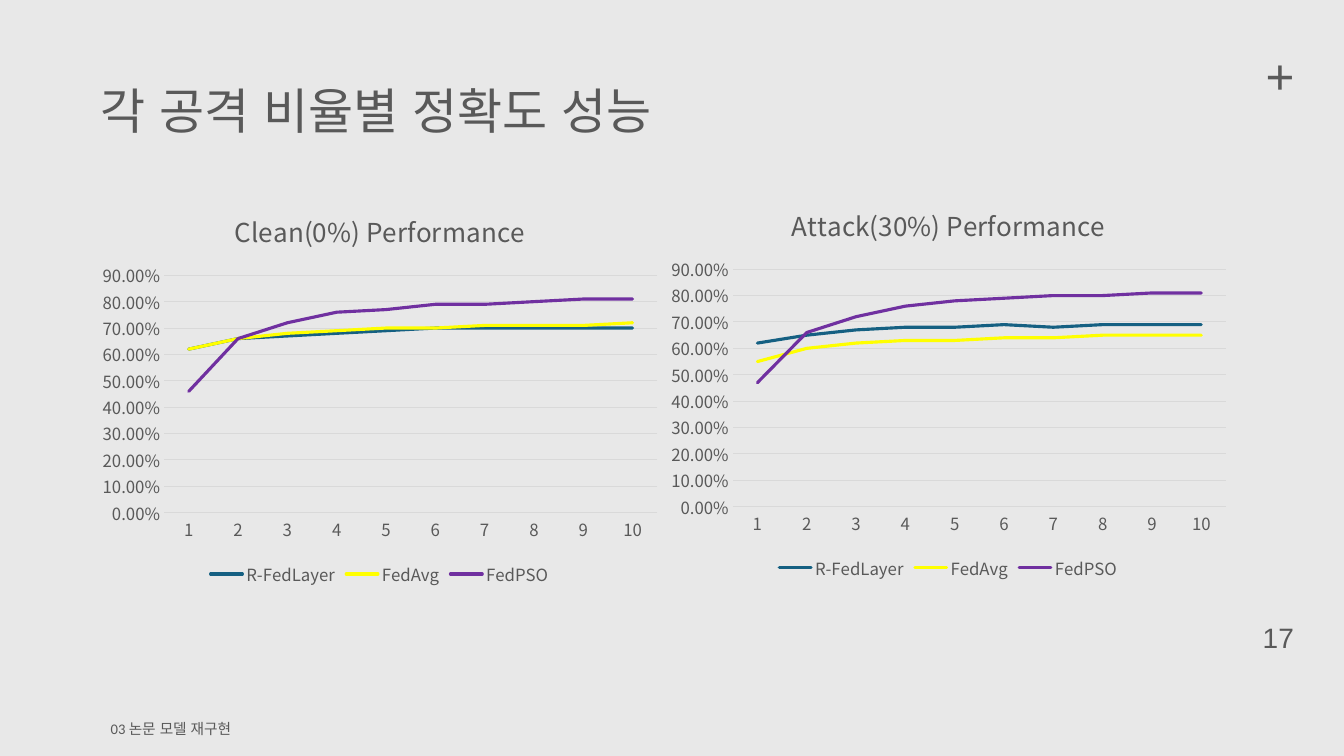
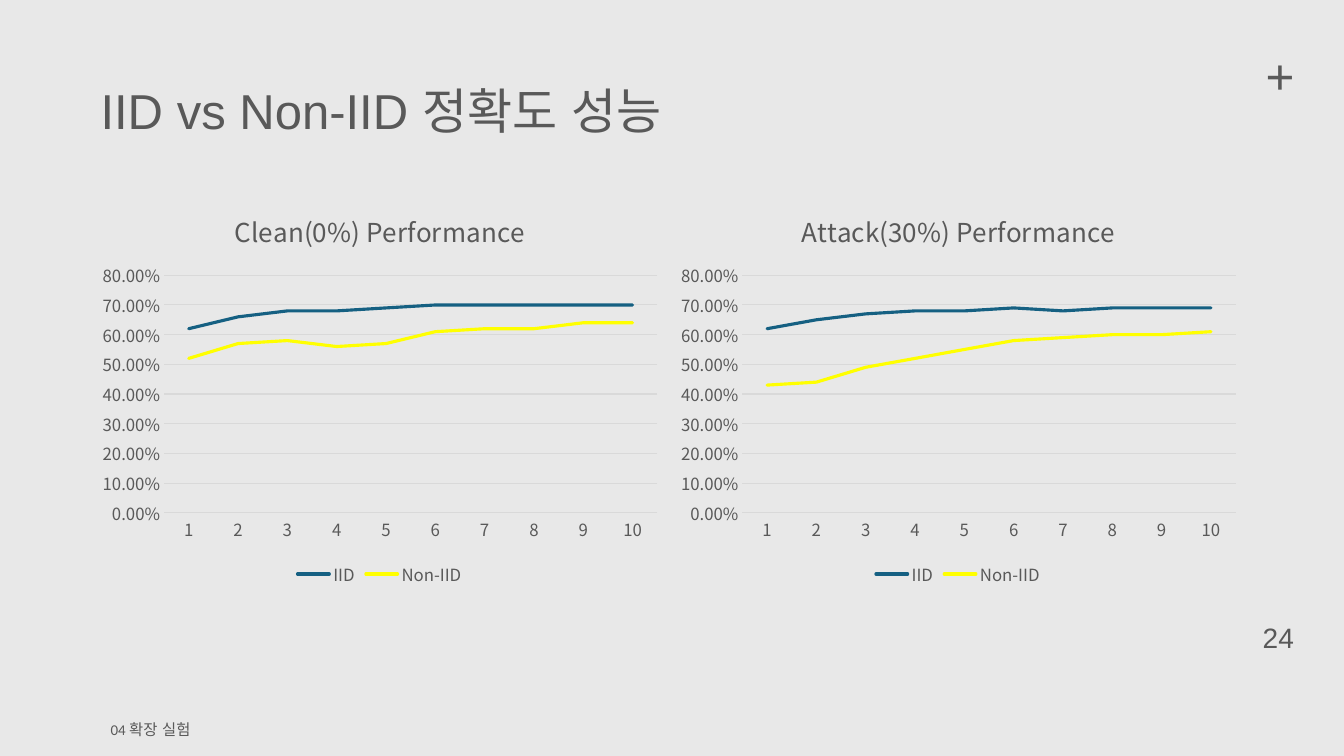
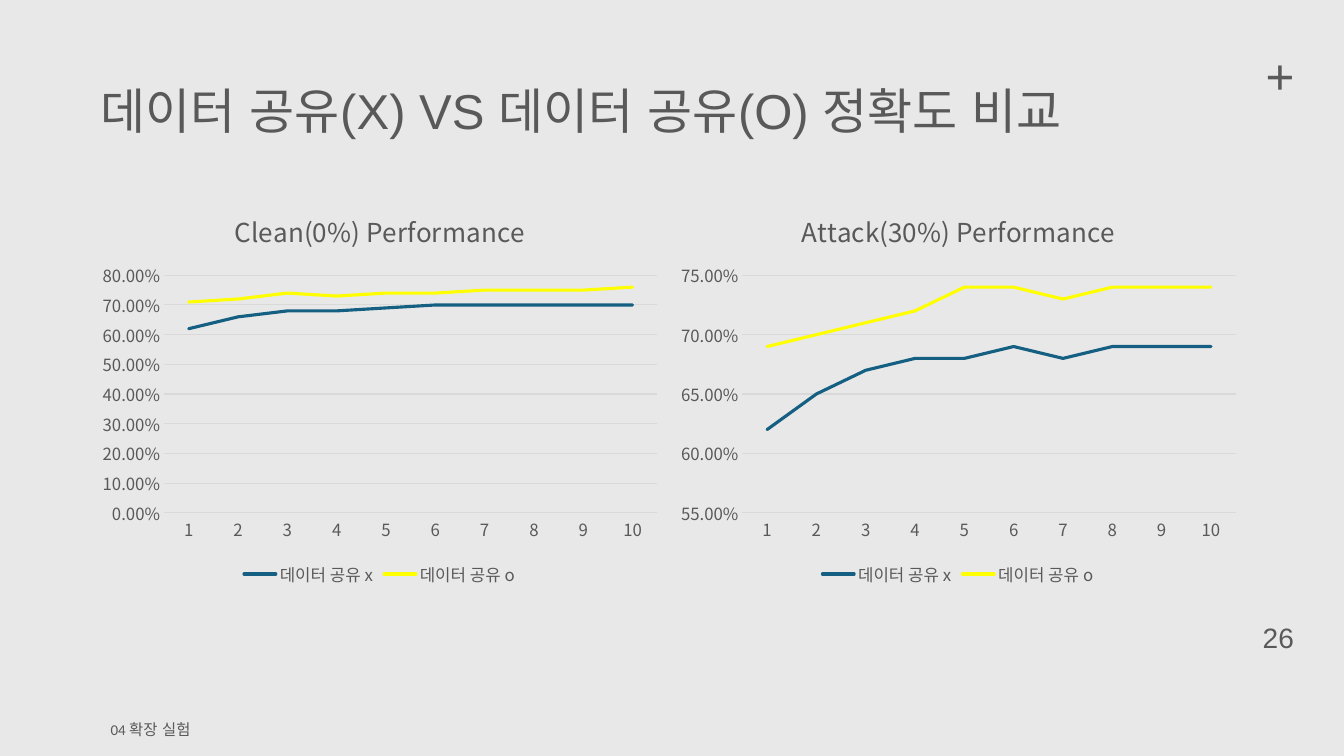
import lxml.etree
import pptx
import pptx.chart.data
import pptx.dml.color
import pptx.enum.chart
import pptx.enum.text
import pptx.oxml.ns
import pptx.util

WIDTH, HEIGHT = 13.33, 7.5
BACKGROUND, INK, RULE = "E8E8E8", "595959", "D9D9D9"
LINE_COLOURS = ("156082", "FFFF00", "7030A0")
TEXT_FONT, KOREAN_FONT, FOOTER_FONT = "Arial", "Noto Sans CJK KR", "Calibri"

TITLE_LEFT, TITLE_TOP, TITLE_HEIGHT = 6.75, 10, 9.2
CHART_LEFT, CHART_TOP = 6.75, 25.6
CHART_WIDTH, CHART_HEIGHT = 42.98, 52.53
RIGHT_CHART = 49.78
PLOT_AREA = {"x": 12.7, "y": 20.6, "w": 85.4, "h": 59.8}

CLEAN_TITLE, ATTACK_TITLE = "Clean(0%) Performance", "Attack(30%) Performance"
TITLE_OFFSETS = {CLEAN_TITLE: 24.1, ATTACK_TITLE: 22.1}
CLEAN_BASE = [0.62, 0.66, 0.68, 0.68, 0.69, 0.7, 0.7, 0.7, 0.7, 0.7]
ATTACK_BASE = [0.62, 0.65, 0.67, 0.68, 0.68, 0.69, 0.68, 0.69, 0.69, 0.69]
UNUSED_SERIES = {"Series 3": [None] * 10}


def colour(value):
    return pptx.dml.color.RGBColor.from_string(value)


def place(left, top, width, height):
    shares = ((left, WIDTH), (top, HEIGHT), (width, WIDTH), (height, HEIGHT))
    return [pptx.util.Inches(share * full / 100) for share, full in shares]


def add_child(parent, tag, **attributes):
    return lxml.etree.SubElement(parent, pptx.oxml.ns.qn(tag), **attributes)


def style_font(font, size, name=TEXT_FONT):
    font.size = pptx.util.Pt(size)
    font.name = name
    font.bold = False
    font.color.rgb = colour(INK)


def add_text(page, area, *spans, size=12, font=TEXT_FONT, centered=False):
    box = page.shapes.add_textbox(*place(*area))
    box.text_frame.word_wrap = True
    para = box.text_frame.paragraphs[0]
    if centered:
        para.alignment = pptx.enum.text.PP_ALIGN.CENTER
    for span in spans:
        text, span_size, span_font = (span, size, font) if isinstance(span, str) else span
        run = para.add_run()
        run.text = text
        style_font(run.font, span_size, span_font)
        add_child(run._r.get_or_add_rPr(), "a:ea", typeface=TEXT_FONT)


def set_layout(parent, position, inner=False):
    qn = pptx.oxml.ns.qn
    for old in parent.findall(qn("c:layout")):
        parent.remove(old)
    layout = lxml.etree.Element(qn("c:layout"))
    manual = add_child(layout, "c:manualLayout")
    settings = [("layoutTarget", "inner")] if inner else []
    settings += [("xMode", "edge"), ("yMode", "edge")]
    settings += [(key, str(round(share / 100, 4))) for key, share in position.items()]
    for key, value in settings:
        add_child(manual, "c:" + key, val=value)
    text = parent.find(qn("c:tx"))
    if text is None:
        parent.insert(0, layout)
    else:
        text.addnext(layout)


def hide_legend_entry(legend, index):
    qn = pptx.oxml.ns.qn
    entry = lxml.etree.Element(qn("c:legendEntry"))
    add_child(entry, "c:idx", val=str(index))
    add_child(entry, "c:delete", val="1")
    legend._element.find(qn("c:legendPos")).addnext(entry)


def style_axes(chart, low, high, step):
    no_tick = pptx.enum.chart.XL_TICK_MARK.NONE
    for axis in (chart.category_axis, chart.value_axis):
        axis.major_tick_mark = no_tick
        axis.minor_tick_mark = no_tick
        style_font(axis.tick_labels.font, 12, KOREAN_FONT)
    values = chart.value_axis
    values.minimum_scale, values.maximum_scale, values.major_unit = low, high, step
    values.tick_labels.number_format = "0.00%"
    values.tick_labels.number_format_is_linked = False
    values.format.line.fill.background()
    values.has_major_gridlines = True
    for line in (chart.category_axis.format.line, values.major_gridlines.format.line):
        line.color.rgb = colour(RULE)
        line.width = pptx.util.Pt(0.75)


def add_line_chart(page, title, series, left=CHART_LEFT, top=CHART_TOP,
                   low=0, high=0.8, step=0.1):
    data = pptx.chart.data.CategoryChartData(number_format="0.00%")
    data.categories = [str(number) for number in range(1, 11)]
    for name, values in series.items():
        data.add_series(name, values)
    chart = page.shapes.add_chart(
        pptx.enum.chart.XL_CHART_TYPE.LINE,
        *place(left, top, CHART_WIDTH, CHART_HEIGHT), data).chart
    style_font(chart.font, 10, KOREAN_FONT)

    chart.has_title = True
    span = chart.chart_title.text_frame.paragraphs[0].add_run()
    span.text = title
    style_font(span.font, 18.6, KOREAN_FONT)
    chart.chart_title.include_in_layout = False
    set_layout(chart.chart_title._element, {"x": TITLE_OFFSETS[title], "y": 2.6})

    chart.has_legend = True
    chart.legend.position = pptx.enum.chart.XL_LEGEND_POSITION.BOTTOM
    chart.legend.include_in_layout = False
    style_font(chart.legend.font, 12, KOREAN_FONT)
    for index, name in enumerate(series):
        if name in UNUSED_SERIES:
            hide_legend_entry(chart.legend, index)

    style_axes(chart, low, high, step)
    plot = chart.plots[0]
    plot.vary_by_categories = False
    set_layout(plot._element.getparent(), PLOT_AREA, inner=True)
    for line, shade in zip(plot.series, LINE_COLOURS):
        line.smooth = False
        line.format.line.color.rgb = colour(shade)
        line.format.line.width = pptx.util.Pt(2.25)
        line.format.line._get_or_add_ln().set("cap", "rnd")


def add_page(deck, title, number, footer, title_width=58.29):
    page = deck.slides.add_slide(deck.slide_layouts[6])
    page.background.fill.solid()
    page.background.fill.fore_color.rgb = colour(BACKGROUND)
    add_text(page, (91.55, 81.4, 7.13, 5.87), number, size=20, centered=True)
    add_text(page, (92.8, 5.33, 4.88, 9.33), "+", size=35.3, centered=True)
    add_text(page, (TITLE_LEFT, TITLE_TOP, title_width, TITLE_HEIGHT), title, size=35)
    add_text(page, (7.5, 94.6, 22.81, 3.87), *footer)
    return page


def main():
    deck = pptx.Presentation()
    deck.slide_width = pptx.util.Inches(WIDTH)
    deck.slide_height = pptx.util.Inches(HEIGHT)
    model_footer = [("03 논문 ", 10.5, FOOTER_FONT), ("모델 재구현", 10.5, TEXT_FONT)]
    trial_footer = [("04 ", 10.7, FOOTER_FONT), ("확장 실험", 11, TEXT_FONT)]

    page = add_page(deck, "각 공격 비율별 정확도 성능", "17", model_footer)
    add_line_chart(page, ATTACK_TITLE, {
        "R-FedLayer": ATTACK_BASE,
        "FedAvg": [0.55, 0.6, 0.62, 0.63, 0.63, 0.64, 0.64, 0.65, 0.65, 0.65],
        "FedPSO": [0.47, 0.66, 0.72, 0.76, 0.78, 0.79, 0.8, 0.8, 0.81, 0.81],
    }, left=49.06, top=24.8, high=0.9)
    add_line_chart(page, CLEAN_TITLE, {
        "R-FedLayer": [0.62, 0.66, 0.67, 0.68, 0.69, 0.7, 0.7, 0.7, 0.7, 0.7],
        "FedAvg": [0.62, 0.66, 0.68, 0.69, 0.7, 0.7, 0.71, 0.71, 0.71, 0.72],
        "FedPSO": [0.46, 0.66, 0.72, 0.76, 0.77, 0.79, 0.79, 0.8, 0.81, 0.81],
    }, high=0.9)

    page = add_page(deck, "IID vs Non-IID 정확도 성능", "24", trial_footer)
    add_line_chart(page, CLEAN_TITLE, {
        "IID": CLEAN_BASE,
        "Non-IID": [0.52, 0.57, 0.58, 0.56, 0.57, 0.61, 0.62, 0.62, 0.64, 0.64],
        **UNUSED_SERIES,
    })
    add_line_chart(page, ATTACK_TITLE, {
        "IID": ATTACK_BASE,
        "Non-IID": [0.43, 0.44, 0.49, 0.52, 0.55, 0.58, 0.59, 0.6, 0.6, 0.61],
    }, left=RIGHT_CHART)

    page = add_page(deck, "데이터 공유(X) VS 데이터 공유(O) 정확도 비교", "26",
                    trial_footer, title_width=82.97)
    add_line_chart(page, CLEAN_TITLE, {
        "데이터 공유 x": CLEAN_BASE,
        "데이터 공유 o": [0.71, 0.72, 0.74, 0.73, 0.74, 0.74, 0.75, 0.75, 0.75, 0.76],
        **UNUSED_SERIES,
    })
    add_line_chart(page, ATTACK_TITLE, {
        "데이터 공유 x": ATTACK_BASE,
        "데이터 공유 o": [0.69, 0.7, 0.71, 0.72, 0.74, 0.74, 0.73, 0.74, 0.74, 0.74],
    }, left=RIGHT_CHART, low=0.55, high=0.75, step=0.05)

    deck.save("out.pptx")


if __name__ == "__main__":
    main()
